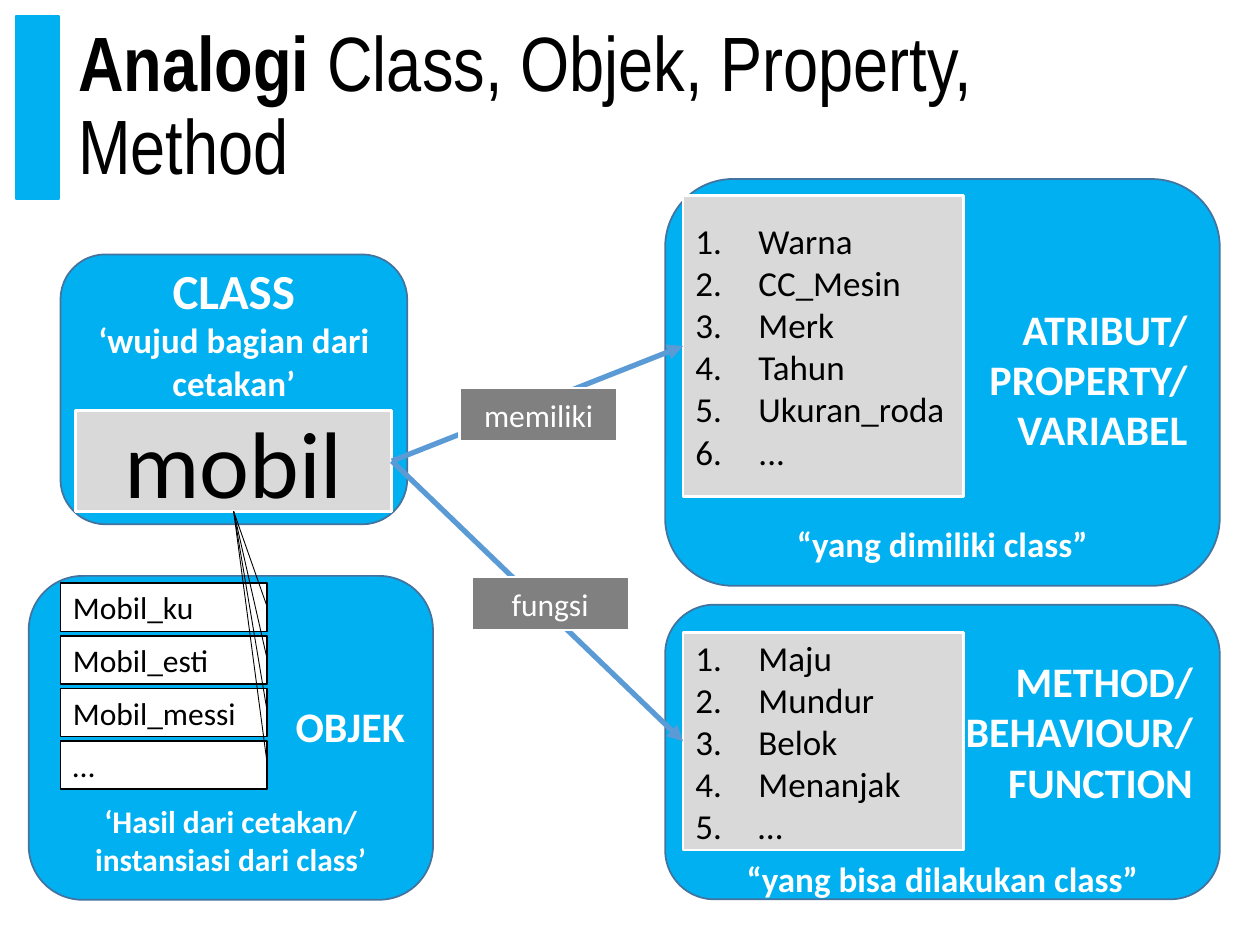
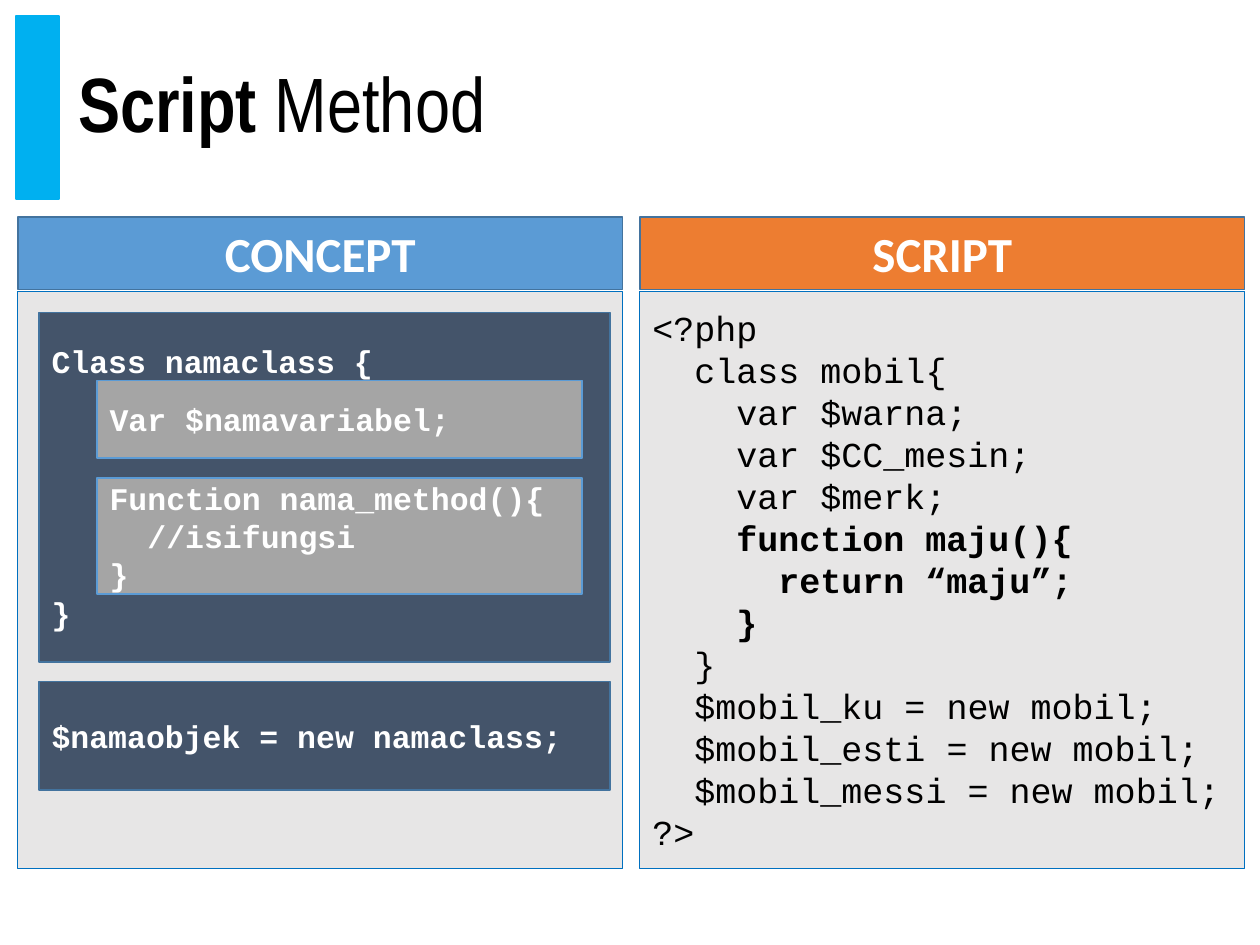
from dataclasses import dataclass

from lxml.etree import SubElement
from pptx import Presentation
from pptx.dml.color import RGBColor as Rgb
from pptx.enum.shapes import MSO_CONNECTOR as Connector, MSO_SHAPE as Shape
from pptx.enum.text import MSO_ANCHOR as Anchor, MSO_AUTO_SIZE as AutoSize, PP_ALIGN as Align
from pptx.oxml.ns import qn
from pptx.util import Cm, Pt


@dataclass(frozen=True)
class Theme:
    cyan: str = "00B0F0"
    blue: str = "5B9BD5"
    outline: str = "43739E"
    frame: str = "0070C0"
    orange: str = "ED7D31"
    navy: str = "44546A"
    gray: str = "A5A5A5"
    dark_gray: str = "808080"
    light_gray: str = "D9D9D9"
    pale: str = "E7E6E6"
    white: str = "FFFFFF"
    black: str = "000000"
    title_font: str = "Arial Narrow"
    body_font: str = "Calibri"
    code_font: str = "Courier New"
    title: int = 44
    giant: int = 54
    header: int = 28
    heading: int = 24
    body: int = 20
    small: int = 18


theme = Theme()


def box(slide, place, fill, line, width=1.0, outline=Shape.RECTANGLE):
    shape = slide.shapes.add_shape(outline, *map(Cm, place))
    shape.shadow.inherit = False
    shape.fill.solid()
    shape.fill.fore_color.rgb = Rgb.from_string(fill)
    shape.line.color.rgb = Rgb.from_string(line)
    shape.line.width = Pt(width)
    shape.text_frame.word_wrap = True
    shape.text_frame.vertical_anchor = Anchor.MIDDLE
    return shape


def write(shape, lines, size, color, font=theme.body_font, bold=False, align=Align.LEFT):
    frame = shape.text_frame
    written = []
    for line in lines:
        first = frame.paragraphs[0]
        paragraph = frame.add_paragraph() if first.runs else first
        paragraph.alignment = align
        text = line.lstrip()
        indent = len(line) - len(text)
        if indent:
            paragraph._p.get_or_add_pPr().set("marL", str(Pt(indent * size * 0.6)))
        run = paragraph.add_run()
        run.text = text
        run.font.size = Pt(size)
        run.font.name = font
        run.font.bold = bold
        run.font.color.rgb = Rgb.from_string(color)
        written.append(paragraph)
    return written


deck = Presentation()
deck.slide_width, deck.slide_height = Cm(25.4), Cm(19.05)

slides = []
for strong, plain in [("Analogi ", "Class, Objek, Property, Method"), ("Script ", "Method")]:
    slide = deck.slides.add_slide(deck.slide_layouts[5])
    box(slide, (0.33, 0.33, 0.86, 3.68), theme.cyan, theme.cyan)
    title = slide.shapes.title
    title.left, title.top, title.width, title.height = map(Cm, (1.32, 0.33, 23.11, 3.68))
    title.text_frame.auto_size = AutoSize.NONE
    title.text_frame.word_wrap = True
    title.text_frame.vertical_anchor = Anchor.MIDDLE
    heading = title.text_frame.paragraphs[0]
    heading.alignment = Align.LEFT
    heading.line_spacing = 0.9
    for text, bold in [(strong, True), (plain, False)]:
        run = heading.add_run()
        run.text = text
        run.font.name = theme.title_font
        run.font.size = Pt(theme.title)
        run.font.bold = bold
        run.font.color.rgb = Rgb.from_string(theme.black)
    slides.append(slide)

analogy, script = slides

panels = [
    ((0.58, 11.61, 8.15, 6.53), ["OBJEK"], theme.heading, Align.RIGHT,
     "‘Hasil dari cetakan/ instansiasi dari class’", theme.small, 29.3, 2.2, 0.13),
    ((13.41, 12.19, 11.18, 5.94), ["METHOD/", "BEHAVIOUR/", "FUNCTION"], theme.heading, Align.RIGHT,
     "“yang bisa dilakukan class”", theme.body, 29.3, 1.16, 0.13),
    ((13.41, 3.61, 11.18, 8.2), ["ATRIBUT/", "PROPERTY/", "VARIABEL"], theme.heading, Align.RIGHT,
     "“yang dimiliki class”", theme.body, 39, 2.2, 0.13),
    ((1.22, 5.13, 6.99, 5.44), ["CLASS"], theme.header, Align.CENTER,
     "‘wujud bagian dari cetakan’", theme.body, 0, 0.13, 2.46),
]
for place, names, size, align, meaning, meaning_size, gap, top, bottom in panels:
    panel = box(analogy, place, theme.cyan, theme.outline, outline=Shape.ROUNDED_RECTANGLE)
    panel.text_frame.margin_top, panel.text_frame.margin_bottom = Cm(top), Cm(bottom)
    write(panel, names, size, theme.white, bold=True, align=align)
    note = write(panel, [meaning], meaning_size, theme.white, bold=True, align=Align.CENTER)[0]
    note.space_before = Pt(gap)

members = []
for top, height, names in [
    (3.94, 6.07, ["Warna", "CC_Mesin", "Merk", "Tahun", "Ukuran_roda", "..."]),
    (12.75, 4.39, ["Maju", "Mundur", "Belok", "Menanjak", "…"]),
]:
    member_list = box(analogy, (13.77, top, 5.66, height), theme.light_gray, theme.white, 1.5)
    for item in write(member_list, names, theme.body, theme.black):
        properties = item._p.get_or_add_pPr()
        properties.set("marL", str(Cm(1.27)))
        properties.set("indent", str(-Cm(1.27)))
        SubElement(properties, qn("a:buAutoNum"), type="arabicPeriod")
    members.append(member_list)

mobil = box(analogy, (1.52, 8.28, 6.38, 2.03), theme.light_gray, theme.white, 1.5)
write(mobil, ["mobil"], theme.giant, theme.black, align=Align.CENTER)

instances = []
for row, name in enumerate(["Mobil_ku", "Mobil_esti", "Mobil_messi", "…"]):
    instance = box(analogy, (1.22, 11.76 + row * 1.06, 4.17, 0.97), theme.white, theme.black)
    write(instance, [name], theme.small, theme.black)
    instances.append(instance)

links = [(3, member_list, 1, theme.blue, 3, True) for member_list in members]
links += [(2, instance, 3, theme.black, 0.5, False) for instance in instances]
for start_side, target, end_side, color, width, arrow in links:
    link = analogy.shapes.add_connector(Connector.STRAIGHT, 0, 0, 0, 0)
    link.begin_connect(mobil, start_side)
    link.end_connect(target, end_side)
    link.line.color.rgb = Rgb.from_string(color)
    link.line.width = Pt(width)
    if arrow:
        SubElement(link.line._get_or_add_ln(), qn("a:tailEnd"), type="triangle")
    SubElement(link._element.spPr, qn("a:effectLst"))

for left, top, relation in [(9.27, 7.82, "memiliki"), (9.5, 11.63, "fungsi")]:
    label = box(analogy, (left, top, 3.18, 1.07), theme.dark_gray, theme.white, 1.5)
    write(label, [relation], theme.small, theme.white, align=Align.CENTER)

columns = []
for left, name, color in [(0.36, "CONCEPT", theme.blue), (12.9, "SCRIPT", theme.orange)]:
    columns.append(box(script, (left, 5.87, 12.19, 11.63), theme.pale, theme.frame, 0.5))
    header = box(script, (left, 4.37, 12.19, 1.47), color, theme.outline)
    write(header, [name], theme.header, theme.white, bold=True, align=Align.CENTER)

for lines, bold in [
    (["<?php", "  class mobil{", "    var $warna;", "    var $CC_mesin;", "    var $merk;"], False),
    (["    function maju(){", "      return “maju”;", "    }"], True),
    (["  }", "  $mobil_ku = new mobil;", "  $mobil_esti = new mobil;",
      "  $mobil_messi = new mobil;", "?>"], False),
]:
    write(columns[1], lines, theme.body, theme.black, theme.code_font, bold)

for place, fill, line, code, gap in [
    ((0.79, 6.3, 11.51, 7.04), theme.navy, theme.outline, ["Class namaclass {", "}"], 122.4),
    ((1.96, 7.67, 9.78, 1.57), theme.gray, theme.blue, ["Var $namavariabel;"], 0),
    ((1.96, 9.63, 9.78, 2.34), theme.gray, theme.blue,
     ["Function nama_method(){", "  //isifungsi", "}"], 0),
    ((0.79, 13.74, 11.51, 2.18), theme.navy, theme.outline, ["$namaobjek = new namaclass;"], 0),
]:
    block = box(script, place, fill, line)
    write(block, code, theme.small, theme.white, theme.code_font, True)[-1].space_before = Pt(gap)

deck.save("out.pptx")
